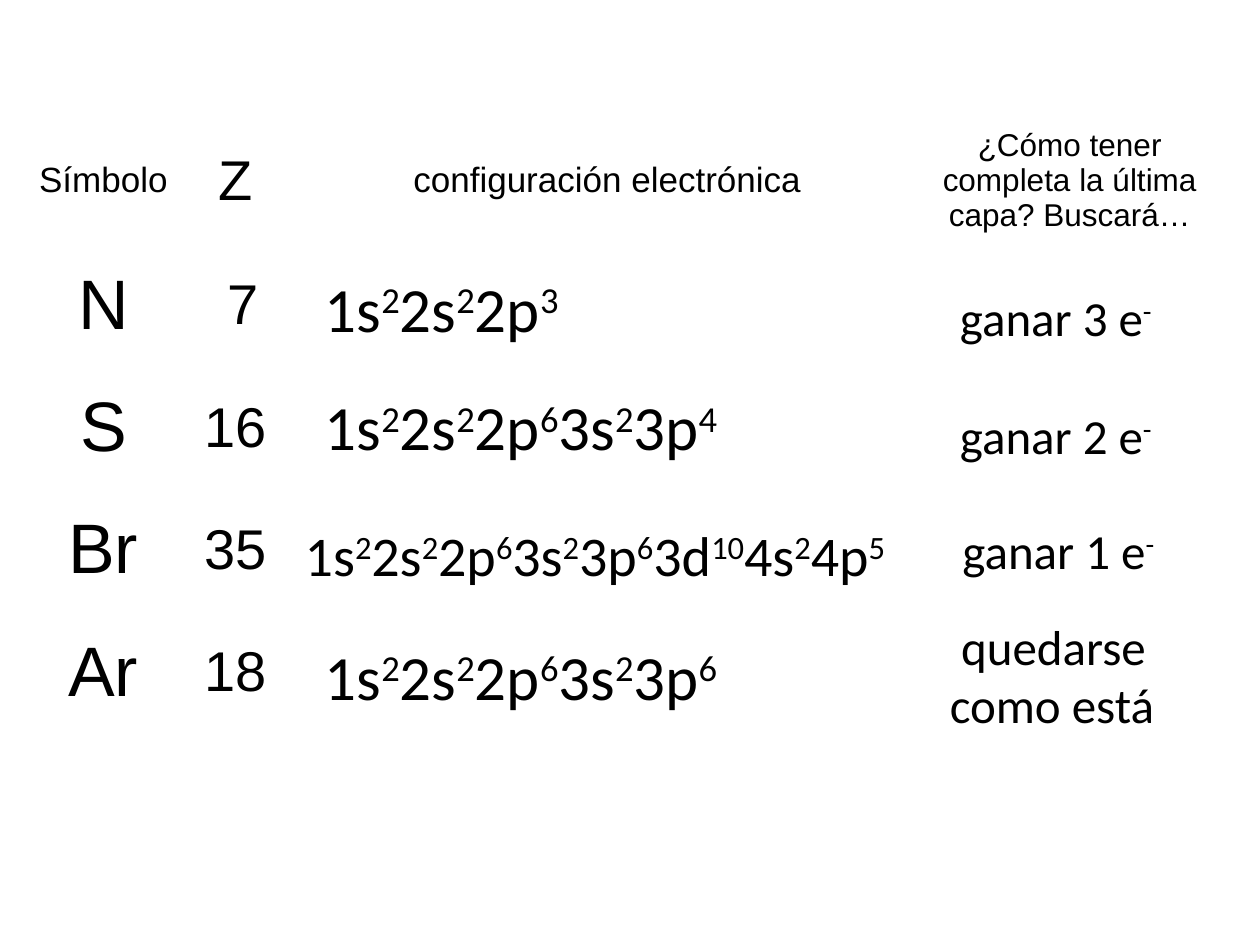
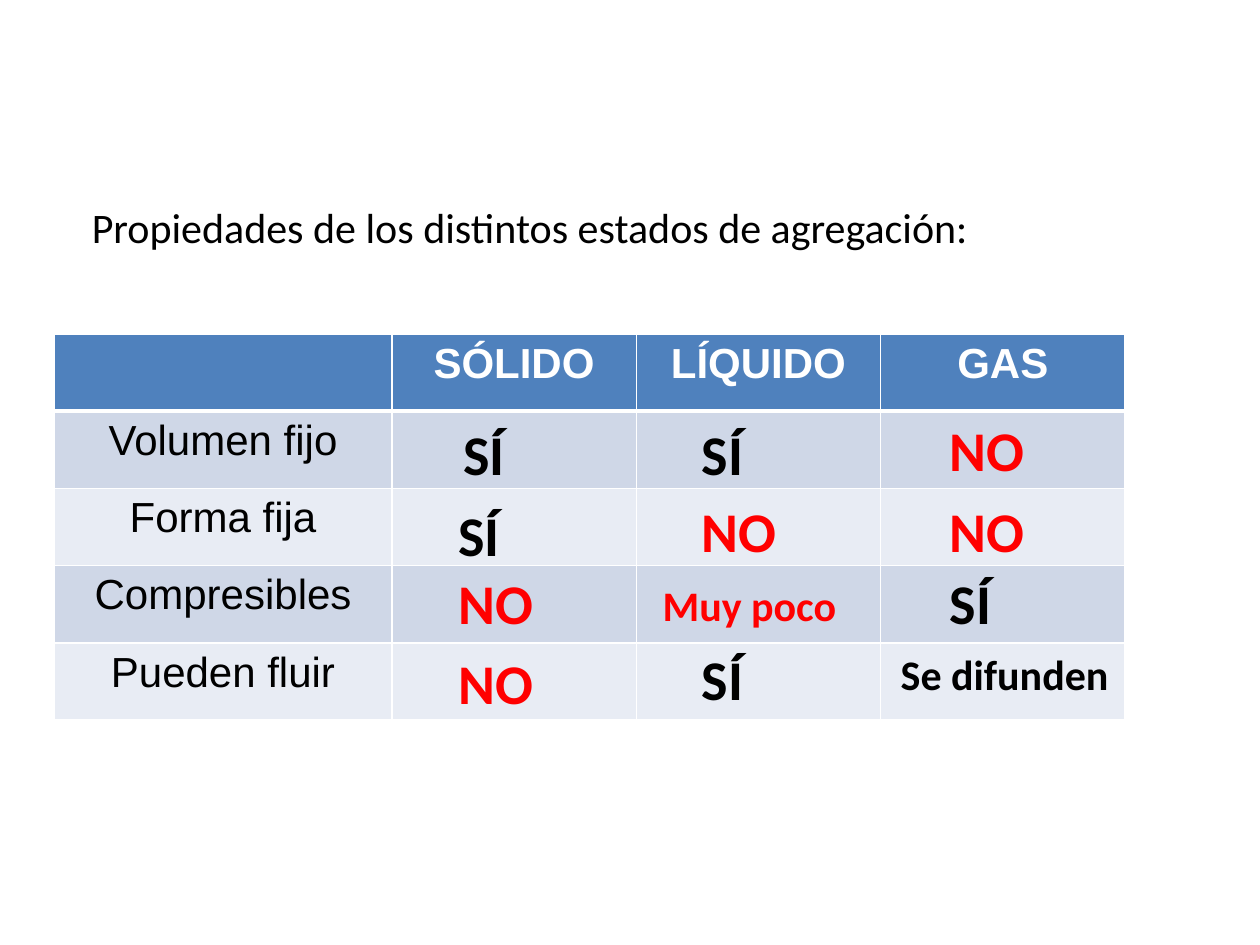
from lxml.etree import SubElement
from pptx import Presentation
from pptx.dml.color import RGBColor
from pptx.enum.text import MSO_ANCHOR, MSO_AUTO_SIZE, PP_ALIGN
from pptx.oxml.ns import qn
from pptx.util import Inches, Pt

BLACK = RGBColor(0x00, 0x00, 0x00)
WHITE = RGBColor(0xFF, 0xFF, 0xFF)
RED = RGBColor(0xFF, 0x00, 0x00)
HEADER_BLUE = RGBColor(0x4F, 0x81, 0xBD)
BAND_DARK = RGBColor(0xCF, 0xD7, 0xE7)
BAND_LIGHT = RGBColor(0xE8, 0xEC, 0xF4)
GRID_COLUMNS, GRID_ROWS = 100, 75
PLAIN_TABLE_STYLE = "{2D5ABB26-0587-4C30-8999-92F81FD0307C}"
SUPERSCRIPT_MARK = "|"


def write_text(frame, text, size=24, font="Calibri", color=BLACK, bold=False,
               align=PP_ALIGN.LEFT, indent=0):
    paragraph = frame.paragraphs[0]
    paragraph.alignment = align
    if indent:
        paragraph._p.get_or_add_pPr().set("indent", str(Inches(indent)))
    for position, piece in enumerate(text.split(SUPERSCRIPT_MARK)):
        if not piece:
            continue
        run = paragraph.add_run()
        run.text = piece
        run.font.name = font
        run.font.size = Pt(size)
        run.font.bold = bold
        run.font.color.rgb = color
        if position % 2:
            run.font._element.set("baseline", "30000")


class Deck:
    def __init__(self):
        self.presentation = Presentation()
        self.presentation.slide_width = Inches(10)
        self.presentation.slide_height = Inches(7.5)
        self.slide = None

    def columns(self, count):
        return round(self.presentation.slide_width * count / GRID_COLUMNS)

    def rows(self, count):
        return round(self.presentation.slide_height * count / GRID_ROWS)

    def new_slide(self):
        self.slide = self.presentation.slides.add_slide(self.presentation.slide_layouts[6])

    def text(self, text, left, top, width, height, **text_format):
        box = self.slide.shapes.add_textbox(
            self.columns(left), self.rows(top), self.columns(width), self.rows(height))
        box.text_frame.word_wrap = True
        box.text_frame.auto_size = MSO_AUTO_SIZE.SHAPE_TO_FIT_TEXT
        write_text(box.text_frame, text, **text_format)

    def table(self, left, top, widths, heights):
        frame = self.slide.shapes.add_table(
            len(heights), len(widths), self.columns(left), self.rows(top),
            self.columns(sum(widths)), self.rows(sum(heights)))
        table = frame.table
        table.first_row = table.horz_banding = False
        table._tbl.tblPr.find(qn("a:tableStyleId")).text = PLAIN_TABLE_STYLE
        for column, width in zip(table.columns, widths):
            column.width = self.columns(width)
        for row, height in zip(table.rows, heights):
            row.height = self.rows(height)
        return table

    def compact_cell(self, cell, text, **text_format):
        cell.vertical_anchor = MSO_ANCHOR.MIDDLE
        cell.margin_left = cell.margin_right = Inches(0.07)
        cell.margin_top = cell.margin_bottom = 0
        write_text(cell.text_frame, text, font="Arial", align=PP_ALIGN.CENTER, **text_format)

    def banded_cell(self, cell, fill, top_line=1, bottom_line=1):
        properties = cell._tc.get_or_add_tcPr()
        for side, width in (("L", 1), ("R", 1), ("T", top_line), ("B", bottom_line)):
            line = SubElement(properties, qn(f"a:ln{side}"), w=str(Pt(width)))
            solid = SubElement(line, qn("a:solidFill"))
            SubElement(solid, qn("a:srgbClr"), val=str(WHITE))
        cell.fill.solid()
        cell.fill.fore_color.rgb = fill


def build_electron_slide(deck):
    deck.new_slide()
    table = deck.table(1.9, 9.3, (12.6, 8.4, 50.6, 22.8), (10.1,) + (9.7,) * 4)
    headings = (("Símbolo", 20), ("Z", 32), ("configuración electrónica", 20),
                ("¿Cómo tener completa la última capa? Buscará…", 18))
    for column, (heading, size) in enumerate(headings):
        deck.compact_cell(table.cell(0, column), heading, size=size)
    elements = (("N", "7", 0.12), ("S", "16", 0), ("Br", "35", 0), ("Ar", "18", 0))
    for row, (symbol, number, indent) in enumerate(elements, 1):
        deck.compact_cell(table.cell(row, 0), symbol, size=40)
        deck.compact_cell(table.cell(row, 1), number, size=32, indent=indent)

    goals = (("ganar 3 e|-", 74.3, 22.3, 18.9, 5.7), ("ganar 2 e|-", 74.3, 31.7, 20.8, 5.7),
             ("ganar 1 e|-", 74.5, 40.8, 20.8, 5.7), ("quedarse como está", 74.4, 48.4, 18.9, 10.4))
    for goal, *place in goals:
        deck.text(goal, *place, size=28, indent=0.09)

    configurations = (
        ("1s|2|2s|2|2p|3", 24.8, 20.9, 29.1, 7.1, 36),
        ("1s|2|2s|2|2p|6|3s|2|3p|4", 24.8, 30.3, 44.1, 7.1, 36),
        ("1s|2|2s|2|2p|6|3s|2|3p|6|3d|10|4s|2|4p|5", 23.2, 40.8, 57.7, 6.4, 32),
        ("1s|2|2s|2|2p|6|3s|2|3p|6", 24.8, 50.1, 44.1, 7.1, 36))
    for configuration, *place, size in configurations:
        deck.text(configuration, *place, size=size)


def build_states_slide(deck):
    deck.new_slide()
    deck.text("Propiedades de los distintos estados de agregación:",
              6.3, 15.5, 85.8, 5, align=PP_ALIGN.JUSTIFY)
    table = deck.table(4.3, 26.5, (26.8,) + (19.4,) * 3, (6.13,) * 5)
    labels = (("", "SÓLIDO", "LÍQUIDO", "GAS"),
              ("Volumen fijo",), ("Forma fija",), ("Compresibles",), ("Pueden fluir",))
    fills = (HEADER_BLUE, BAND_DARK, BAND_LIGHT, BAND_DARK, BAND_LIGHT)
    for row, (row_labels, fill) in enumerate(zip(labels, fills)):
        header = row == 0
        for column in range(4):
            deck.banded_cell(table.cell(row, column), fill,
                             top_line=3 if row == 1 else 1, bottom_line=3 if header else 1)
        for column, label in enumerate(row_labels):
            write_text(table.cell(row, column).text_frame, label, font="Arial", bold=header,
                       color=WHITE if header else BLACK, align=PP_ALIGN.CENTER)

    solid, liquid, gas = 35.4, 54.7, 74.4
    answers = (
        ("SÍ", 35.8, 32.8), ("SÍ", liquid, 32.8), ("NO", gas, 32.5),
        ("SÍ", solid, 39.2), ("NO", liquid, 38.9), ("NO", gas, 38.9),
        ("NO", solid, 44.6), ("SÍ", gas, 44.6),
        ("NO", solid, 51), ("SÍ", liquid, 50.7))
    for answer, left, top in answers:
        deck.text(answer, left, top, 10.2, 6.4, size=32, bold=True,
                  color=RED if answer == "NO" else BLACK)
    deck.text("Muy poco", 51.6, 45.5, 22.8, 5, bold=True, color=RED)
    deck.text("Se difunden", 70.5, 51, 18.9, 5, bold=True)


def main():
    deck = Deck()
    build_electron_slide(deck)
    build_states_slide(deck)
    deck.presentation.save("out.pptx")


if __name__ == "__main__":
    main()
